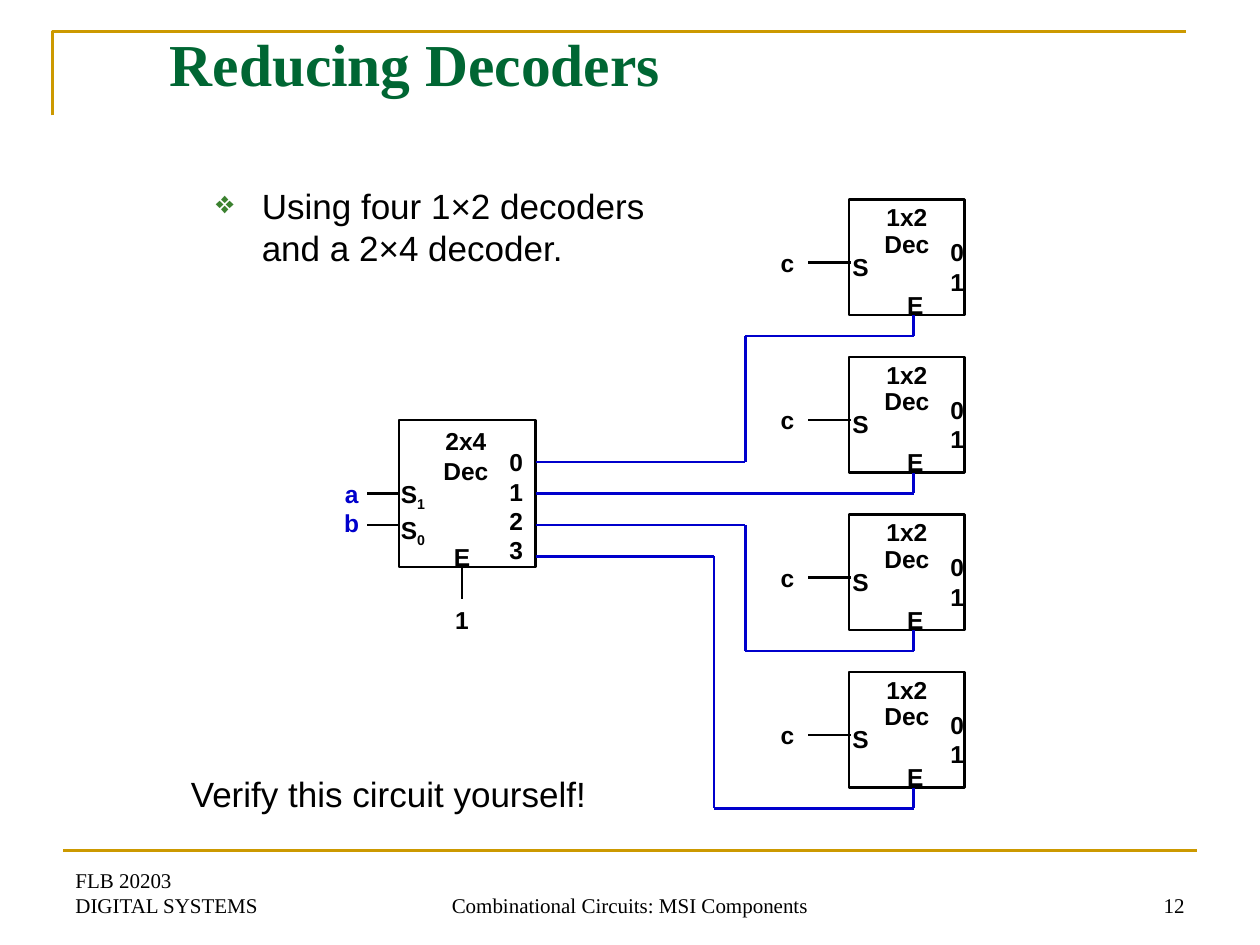
from lxml import etree
from pptx import Presentation
from pptx.dml.color import RGBColor
from pptx.enum.shapes import MSO_CONNECTOR, MSO_SHAPE
from pptx.enum.text import MSO_ANCHOR, MSO_AUTO_SIZE, PP_ALIGN
from pptx.oxml.ns import qn
from pptx.util import Pt

PX = 9525
STRAIGHT = MSO_CONNECTOR.STRAIGHT
RECTANGLE = MSO_SHAPE.RECTANGLE
LEFT, CENTER, RIGHT = PP_ALIGN.LEFT, PP_ALIGN.CENTER, PP_ALIGN.RIGHT
TOP, BOTTOM = MSO_ANCHOR.TOP, MSO_ANCHOR.BOTTOM
GROW, FIXED = MSO_AUTO_SIZE.SHAPE_TO_FIT_TEXT, MSO_AUTO_SIZE.NONE
LEFT_SIDE, RIGHT_SIDE = 1, 3

COLORS = {
    "ink": "000000",
    "gold": "CC9900",
    "title": "006633",
    "bullet": "3B812F",
    "signal": "0000CC",
}
STYLES = {
    "title": {"name": "Times New Roman", "size": Pt(34), "bold": True},
    "body": {"name": "Arial", "size": Pt(20), "bold": False},
    "label": {"name": "Arial", "size": Pt(14), "bold": True},
    "footer": {"name": "Times New Roman", "size": Pt(12), "bold": False},
}


class SlideWriter:
    def __init__(self, slide):
        self.slide = slide
        self.shapes = slide.shapes

    def color(self, name):
        return RGBColor.from_string(COLORS[name])

    def outline(self, shape, color, width):
        shape.line.color.rgb = self.color(color)
        shape.line.width = Pt(width)

    def text(self, place, lines, style="label", color="ink", anchor=TOP, fit=GROW, **layout):
        box = self.shapes.add_textbox(*(value * PX for value in place))
        frame = box.text_frame
        frame.word_wrap = True
        frame.auto_size = fit
        frame.vertical_anchor = anchor
        for index, line in enumerate(lines):
            para = frame.paragraphs[0] if index == 0 else frame.add_paragraph()
            for name, value in layout.items():
                if index or name != "space_before":
                    setattr(para, name, value)
            base, _, subscript = line.partition("_")
            self.span(para, base, style, color)
            if subscript:
                lowered = self.span(para, subscript, style, color)
                lowered._r.get_or_add_rPr().set("baseline", "-25000")
        return box

    def span(self, para, words, style, color):
        span = para.add_run()
        span.text = words
        for name, value in STYLES[style].items():
            setattr(span.font, name, value)
        span.font.color.rgb = self.color(color)
        return span

    def bullet(self, para, symbol, color, percent, margin, hanging):
        properties = para._p.get_or_add_pPr()
        properties.set("marL", str(margin * PX))
        properties.set("indent", str(-hanging * PX))
        tint = etree.SubElement(properties, qn("a:buClr"))
        etree.SubElement(tint, qn("a:srgbClr"), val=COLORS[color])
        etree.SubElement(properties, qn("a:buSzPct"), val=str(percent * 1000))
        etree.SubElement(properties, qn("a:buChar"), char=symbol)

    def rectangle(self, place):
        box = self.shapes.add_shape(RECTANGLE, *(value * PX for value in place))
        box.shadow.inherit = False
        box.fill.background()
        self.outline(box, "ink", 1.5)
        return box

    def wire(self, start, end, color="ink", width=1.25):
        line = self.shapes.add_connector(STRAIGHT, *(value * PX for value in start + end))
        self.outline(line, color, width)
        etree.SubElement(line._element.spPr, qn("a:effectLst"))
        return line

    def route(self, points):
        return [self.wire(start, end, "signal") for start, end in zip(points, points[1:])]

    def corner(self, points, color, width):
        builder = self.shapes.build_freeform(*points[0], scale=PX)
        builder.add_line_segments(points[1:], close=False)
        shape = builder.convert_to_shape()
        shape.shadow.inherit = False
        shape.fill.background()
        self.outline(shape, color, width)


def draw_frame(writer):
    writer.corner([(40, 88), (40, 24), (904, 24)], "gold", 1.5)
    writer.wire((48, 648), (912, 648), "gold", 1.5)
    footers = [
        (48, 224, LEFT, ["FLB 20203", "DIGITAL SYSTEMS"]),
        (328, 304, CENTER, ["Combinational Circuits: MSI Components"]),
        (688, 224, RIGHT, ["12"]),
    ]
    for left, width, alignment, lines in footers:
        writer.text((left, 656, width, 48), lines, "footer",
                    anchor=BOTTOM, fit=FIXED, alignment=alignment)


def draw_words(writer):
    writer.text((120, 16, 816, 120), ["Reducing Decoders"], "title", "title", fit=FIXED)
    body = writer.text((120, 136, 416, 80), ["Using four 1×2 decoders and a 2×4 decoder."],
                       "body", fit=FIXED)
    writer.bullet(body.text_frame.paragraphs[0], "❖", "bullet", 90, 70, 35)
    writer.text((136, 584, 336, 42), ["Verify this circuit yourself!"], "body")


def draw_main_decoder(writer):
    decoder = writer.rectangle((304, 320, 104, 112))
    writer.text((315, 320, 80, 55), ["2x4", "Dec"], alignment=CENTER)
    writer.text((296, 360, 44, 63), ["S_1", "S_0"], space_before=Pt(1.8))
    writer.text((368, 336, 40, 100), ["0", "1", "2", "3"], alignment=RIGHT)
    writer.text((336, 408, 32, 33), ["E"], alignment=CENTER)
    writer.text((248, 360, 40, 55), ["a", "b"], color="signal", alignment=CENTER)
    writer.wire((280, 376), (304, 376)).end_connect(decoder, LEFT_SIDE)
    writer.wire((280, 400), (304, 400))
    writer.wire((352, 432), (352, 456), width=0.75)
    writer.text((336, 456, 32, 33), ["1"], alignment=CENTER)
    return decoder


def draw_small_decoder(writer, top):
    writer.rectangle((647, top, 88, 88))
    writer.text((651, top, 80, 50), ["1x2", "Dec"], alignment=CENTER, line_spacing=0.9)
    writer.text((640, top + 35, 45, 33), ["S"])
    writer.text((704, top + 24, 40, 55), ["0", "1"], alignment=RIGHT)
    writer.text((680, top + 64, 35, 33), ["E"], alignment=CENTER)
    writer.text((584, top + 32, 32, 33), ["c"], alignment=CENTER)
    writer.wire((616, top + 48), (648, top + 48))


def draw_circuit(writer):
    decoder = draw_main_decoder(writer)
    enable = 696
    for index, bend in enumerate([568, None, 568, 544]):
        top = 152 + 120 * index
        output = 352 + 24 * index
        draw_small_decoder(writer, top)
        turns = [(bend, output), (bend, top + 104)] if bend else []
        points = [(408, output), *turns, (enable, top + 104), (enable, top + 88)]
        wires = writer.route(points)
        if not bend:
            wires[0].begin_connect(decoder, RIGHT_SIDE)


def main():
    deck = Presentation()
    deck.slide_width, deck.slide_height = 960 * PX, 720 * PX
    page = deck.slides.add_slide(deck.slide_layouts[6])
    writer = SlideWriter(page)
    draw_frame(writer)
    draw_words(writer)
    draw_circuit(writer)
    deck.save("out.pptx")


if __name__ == "__main__":
    main()
